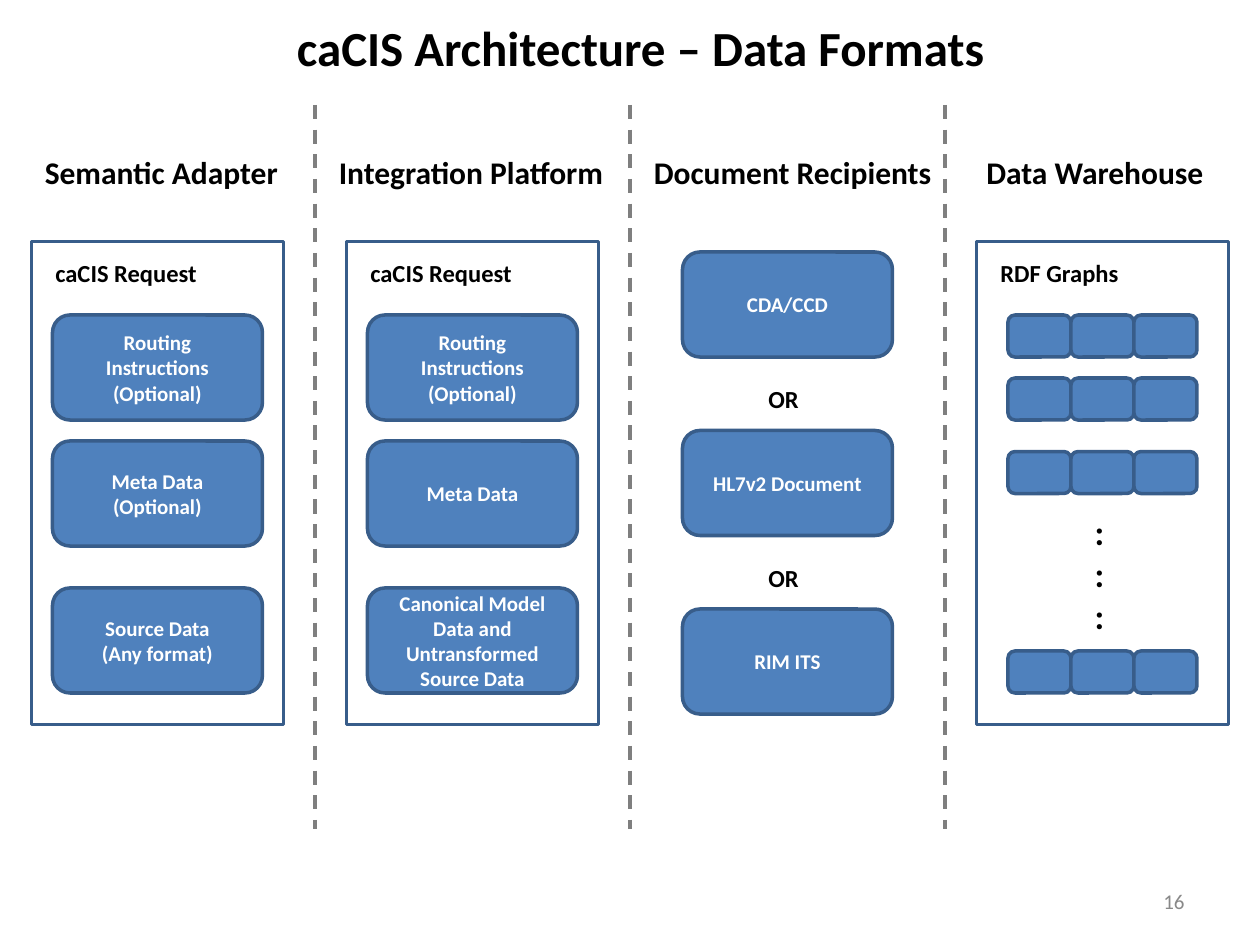
import pptx
import pptx.util
import pptx.oxml.ns
from lxml import etree
from pptx.dml.color import RGBColor
from pptx.enum.dml import MSO_LINE
from pptx.enum.shapes import MSO_CONNECTOR, MSO_SHAPE
from pptx.enum.text import MSO_ANCHOR, MSO_AUTO_SIZE, PP_ALIGN

Pt = pptx.util.Pt
COLORS = {"text": "000000", "card": "4F81BD", "edge": "385D8A",
          "on_card": "FFFFFF", "divider": "7F7F7F", "number": "898989"}
COLUMN_W = 180
CARD_X, CARD_W, CARD_H = 30, 120, 60


def rgb(name):
    return RGBColor.from_string(COLORS[name])


def write(tf, lines, size, color="text", bold=True, align=PP_ALIGN.LEFT,
          anchor=MSO_ANCHOR.TOP, wrap=True):
    frame_format = {"word_wrap": wrap, "vertical_anchor": anchor,
                    "auto_size": MSO_AUTO_SIZE.NONE}
    for name, value in frame_format.items():
        setattr(tf, name, value)
    font_format = {"name": "Calibri", "size": Pt(size), "bold": bold}
    for i, line in enumerate(lines):
        p = tf.paragraphs[0] if i == 0 else tf.add_paragraph()
        p.alignment = align
        r = p.add_run()
        r.text = line
        for name, value in font_format.items():
            setattr(r.font, name, value)
        r.font.color.rgb = rgb(color)


def add_label(s, x, y, w, h, lines, size, **text_format):
    sp = s.shapes.add_textbox(Pt(x), Pt(y), Pt(w), Pt(h))
    write(sp.text_frame, lines, size, **{"wrap": False, **text_format})


def add_block(shapes, kind, x, y, w, h, fill=None):
    sp = shapes.add_shape(kind, Pt(x), Pt(y), Pt(w), Pt(h))
    sp.shadow.inherit = False
    if fill:
        sp.fill.solid()
        sp.fill.fore_color.rgb = rgb(fill)
    else:
        sp.fill.background()
    sp.line.color.rgb = rgb("edge")
    sp.line.width = Pt(2)
    return sp


def add_card(s, x, y, lines):
    sp = add_block(s.shapes, MSO_SHAPE.FLOWCHART_ALTERNATE_PROCESS,
                   x, y, CARD_W, CARD_H, "card")
    write(sp.text_frame, lines, 12, color="on_card",
          align=PP_ALIGN.CENTER, anchor=MSO_ANCHOR.MIDDLE)


def add_frame(s, x, y, label, label_w):
    add_block(s.shapes, MSO_SHAPE.RECTANGLE, x + 18, y, 144, 276)
    add_label(s, x + 24.5, y + 6, label_w, 24.5, [label], 14)


def add_request(s, x, y, cards):
    """Framed request with three stacked cards."""
    add_frame(s, x, y, "caCIS Request", 96)
    for offset, lines in zip((42, 114, 198), cards):
        add_card(s, x + CARD_X, y + offset, lines)


def add_documents(s, x, y, names):
    """Alternative document cards separated by OR."""
    pitch = 102
    for i, name in enumerate(names):
        top = y + 6 + i * pitch
        add_card(s, x + CARD_X, top, [name])
        if i < len(names) - 1:
            add_label(s, x + 72, top + 72, 32, 24.5, ["OR"], 14)


def add_graphs(s, x, y):
    """Framed rows of linked cells, with dots before the last row."""
    cell_w, cell_h = 36, 24
    add_frame(s, x, y, "RDF Graphs", 82)
    for offset in (42, 78, 120, 234):
        row = s.shapes.add_group_shape()
        for i in range(3):
            add_block(row.shapes, MSO_SHAPE.FLOWCHART_ALTERNATE_PROCESS,
                      x + 36 + i * cell_w, y + offset, cell_w, cell_h, "card")
    add_label(s, x + 78.5, y + 150, 19.5, 79, [":"] * 3, 20)


def add_divider(s, x, top, bottom):
    line = s.shapes.add_connector(MSO_CONNECTOR.STRAIGHT,
                                  Pt(x), Pt(top), Pt(x), Pt(bottom))
    line.line.color.rgb = rgb("divider")
    line.line.width = Pt(2)
    line.line.dash_style = MSO_LINE.DASH
    etree.SubElement(line._element.spPr, pptx.oxml.ns.qn("a:effectLst"))


def add_title(s, x, y, w, h, text):
    sp = s.shapes.title
    box = {"left": x, "top": y, "width": w, "height": h}
    for name, value in box.items():
        setattr(sp, name, Pt(value))
    write(sp.text_frame, [text], 28, align=PP_ALIGN.CENTER,
          anchor=MSO_ANCHOR.MIDDLE)


def main():
    prs = pptx.Presentation()
    prs.slide_width, prs.slide_height = Pt(720), Pt(540)
    s = prs.slides.add_slide(prs.slide_layouts[5])
    add_title(s, 42, -12, 648, 78, "caCIS Architecture – Data Formats")

    for i in range(1, 4):
        add_divider(s, i * COLUMN_W, 60, 474)

    headings = [("Semantic Adapter", 18.5, 148),
                ("Integration Platform", 186.5, 167),
                ("Document Recipients", 366.5, 173.5),
                ("Data Warehouse", 556.5, 140)]
    for text, x, w in headings:
        add_label(s, x, 84, w, 29, [text], 18)

    top = 138
    routing = ["Routing Instructions", "(Optional)"]
    add_request(s, 0, top, [routing, ["Meta Data", "(Optional)"],
                            ["Source Data", "(Any format)"]])
    add_request(s, COLUMN_W, top, [
        routing, ["Meta Data"],
        ["Canonical Model Data and", "Untransformed Source Data"]])
    add_documents(s, 2 * COLUMN_W, top,
                  ["CDA/CCD", "HL7v2 Document", "RIM ITS"])
    add_graphs(s, 3 * COLUMN_W, top)

    add_label(s, 516, 500.5, 168, 29, ["16"], 12, color="number", bold=False,
              align=PP_ALIGN.RIGHT, anchor=MSO_ANCHOR.MIDDLE, wrap=True)
    prs.save("out.pptx")


if __name__ == "__main__":
    main()
